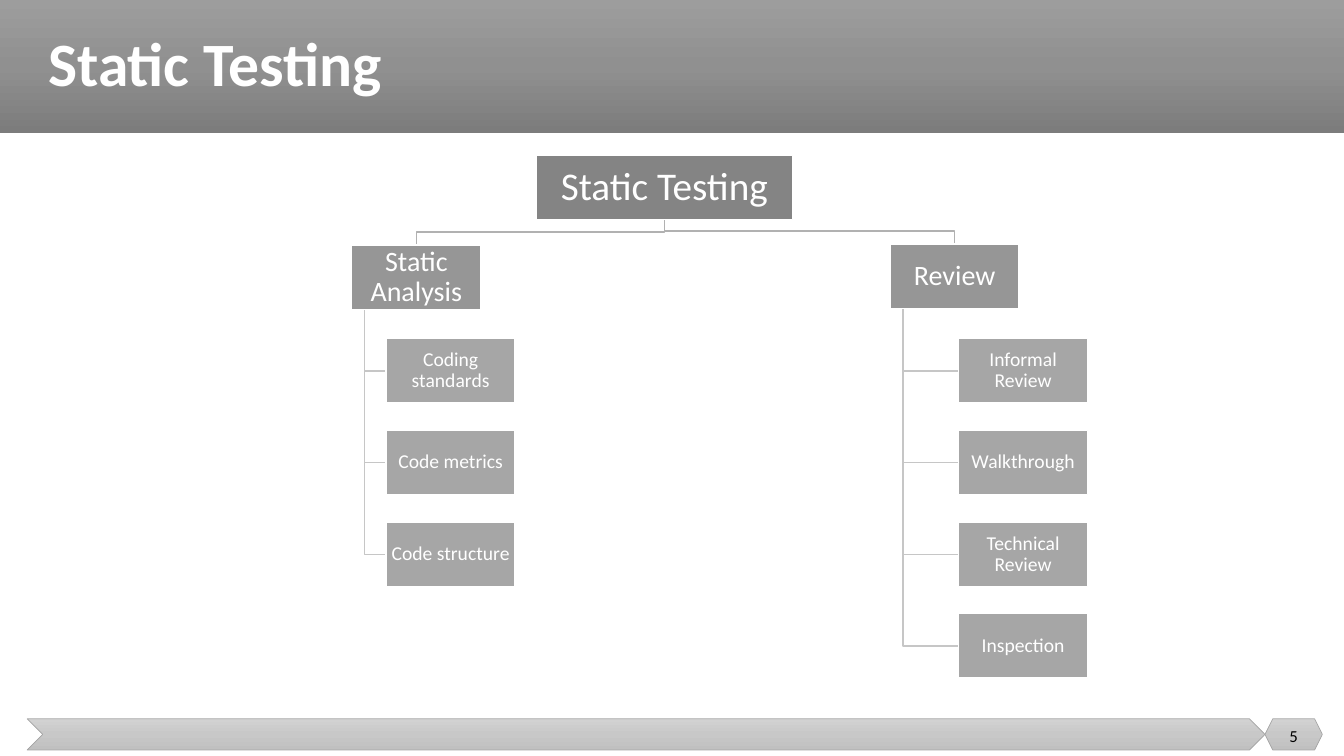
from copy import deepcopy
from dataclasses import dataclass

from pptx import Presentation
from pptx.dml.color import RGBColor
from pptx.enum.shapes import MSO_SHAPE
from pptx.enum.text import MSO_ANCHOR, PP_ALIGN
from pptx.oxml.ns import qn
from pptx.util import Pt

RECT = MSO_SHAPE.RECTANGLE
CHEVRON = MSO_SHAPE.CHEVRON
HEXAGON = MSO_SHAPE.HEXAGON
MIDDLE = MSO_ANCHOR.MIDDLE
LEFT = PP_ALIGN.LEFT
CENTER = PP_ALIGN.CENTER


@dataclass(frozen=True)
class Theme:
    font: str = "Calibri"
    white: str = "FFFFFF"
    black: str = "000000"
    band: tuple = ("9D9D9D", "909090", "7C7C7C")
    foot: tuple = ("D2D2D2", "C8C8C8", "C0C0C0")
    edge: str = "A5A5A5"
    fills: tuple = ("848484", "969696", "A6A6A6")
    links: tuple = ("B1B1B1", "C6C6C6")
    sizes: tuple = (28, 20, 14)
    title: int = 44
    page: int = 12


THEME = Theme()
BOX_W, BOX_H = 92.2, 46
LEAF_TOP, LEAF_STEP = 241.9, 65.5
STEM = 9.2
ROOT = ("Static Testing", 383, 111, 183)
BRANCHES = (
    ("Static Analysis", 251.3, 175, 275.8,
     ("Coding standards", "Code metrics", "Code structure")),
    ("Review", 635.8, 174.2, 684.7,
     ("Informal Review", "Walkthrough", "Technical Review", "Inspection")),
)


def rgb(code):
    return RGBColor.from_string(code)


def write(shape, text, size, color, align=CENTER, spacing=0.9):
    frame = shape.text_frame
    frame.word_wrap = True
    frame.vertical_anchor = MIDDLE
    frame.text = text
    para = frame.paragraphs[0]
    para.alignment = align
    para.line_spacing = spacing
    font = para.runs[0].font
    font.name = THEME.font
    font.size = Pt(size)
    font.color.rgb = rgb(color)
    return font


def add_label(slide, area, *style):
    label = slide.shapes.add_textbox(*map(Pt, area))
    return write(label, *style)


def add_blend(slide, kind, area, colors, edge=None):
    shape = slide.shapes.add_shape(kind, *map(Pt, area))
    shape.shadow.inherit = False
    fill = shape.fill
    fill.gradient()
    fill.gradient_angle = 270
    stops = shape._element.find(".//" + qn("a:gsLst"))
    stops.insert(1, deepcopy(stops[0]))
    for stop, color, place in zip(fill.gradient_stops, colors, (0, 0.5, 1)):
        stop.color.rgb = rgb(color)
        stop.position = place
    if edge:
        shape.line.color.rgb = rgb(edge)
        shape.line.width = Pt(0.5)
    else:
        shape.line.fill.background()


def add_box(slide, text, left, top, level, width=BOX_W):
    box = slide.shapes.add_shape(RECT, Pt(left), Pt(top), Pt(width), Pt(BOX_H))
    box.shadow.inherit = False
    box.fill.solid()
    box.fill.fore_color.rgb = rgb(THEME.fills[level])
    box.line.color.rgb = rgb(THEME.white)
    box.line.width = Pt(1)
    frame = box.text_frame
    frame.margin_left = frame.margin_right = Pt(1)
    frame.margin_top = frame.margin_bottom = Pt(1)
    write(box, text, THEME.sizes[level], THEME.white)


def add_link(slide, points, color):
    start, *rest = [(Pt(x), Pt(y)) for x, y in points]
    path = slide.shapes.build_freeform(*start)
    path.add_line_segments(rest, close=False)
    link = path.convert_to_shape()
    link.shadow.inherit = False
    link.fill.background()
    link.line.color.rgb = rgb(color)
    link.line.width = Pt(1)


def add_branch(slide, text, left, top, leaf_x, leaves):
    _, root_x, root_y, root_w = ROOT
    root_mid = root_x + root_w / 2
    mid = left + BOX_W / 2
    bend = top - STEM
    add_link(slide, [(root_mid, root_y + BOX_H), (root_mid, bend),
                     (mid, bend), (mid, top)], THEME.links[0])
    stem = left + STEM
    for row, leaf in enumerate(leaves):
        leaf_y = LEAF_TOP + row * LEAF_STEP
        join = leaf_y + BOX_H / 2
        add_link(slide, [(stem, top + BOX_H), (stem, join), (leaf_x, join)],
                 THEME.links[1])
        add_box(slide, leaf, leaf_x, leaf_y, 2)
    add_box(slide, text, left, top, 1)


def main():
    deck = Presentation()
    deck.slide_width, deck.slide_height = Pt(960), Pt(540)
    slide = deck.slides.add_slide(deck.slide_layouts[6])

    add_blend(slide, RECT, (0, 0, 960, 95), THEME.band)
    add_blend(slide, CHEVRON, (19.4, 513.4, 884.2, 22.3), THEME.foot, THEME.edge)
    add_blend(slide, HEXAGON, (903.6, 513.4, 41, 22.3), THEME.foot, THEME.edge)
    title = add_label(slide, (27.4, 0, 917.3, 95), "Static Testing",
                      THEME.title, THEME.white, LEFT)
    title.bold = True

    for branch in BRANCHES:
        add_branch(slide, *branch)
    text, left, top, width = ROOT
    add_box(slide, text, left, top, 0, width)
    add_label(slide, (903.6, 511.2, 41, 28.8), "5",
              THEME.page, THEME.black, CENTER, 1.0)
    deck.save("out.pptx")


main()
